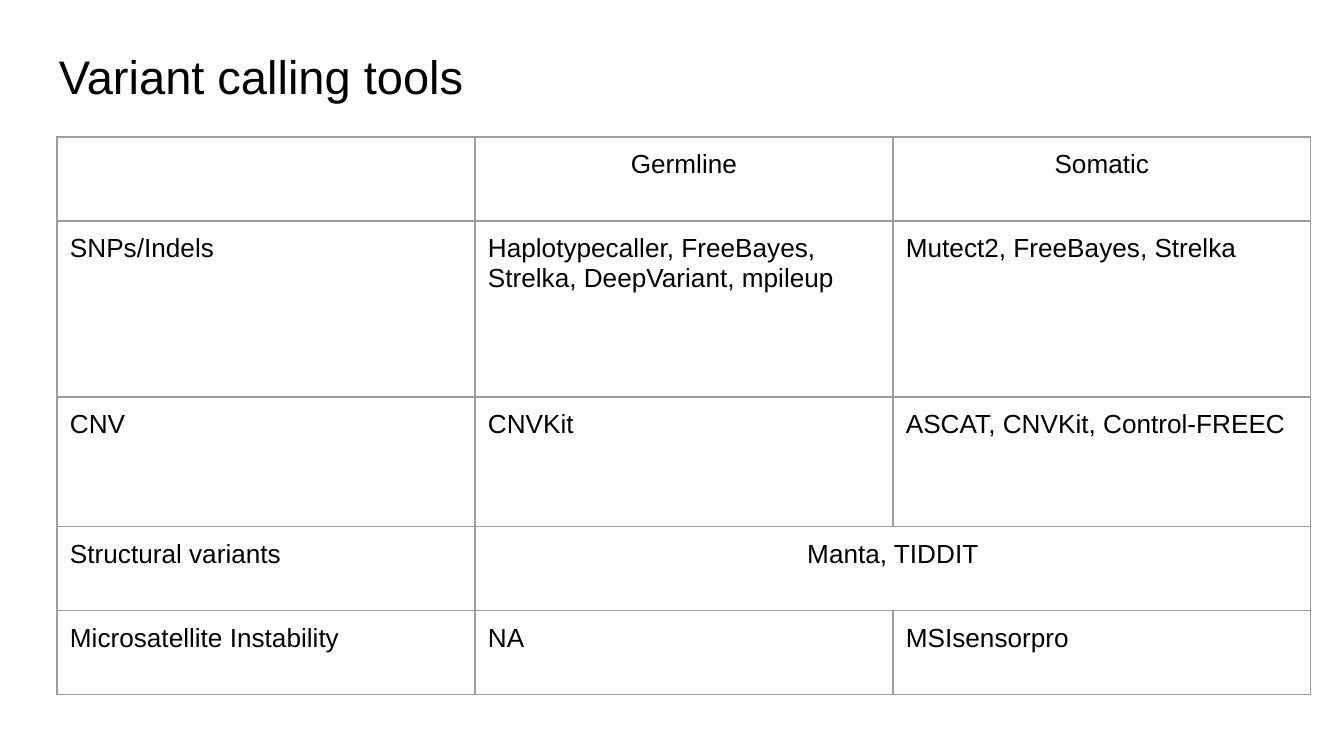
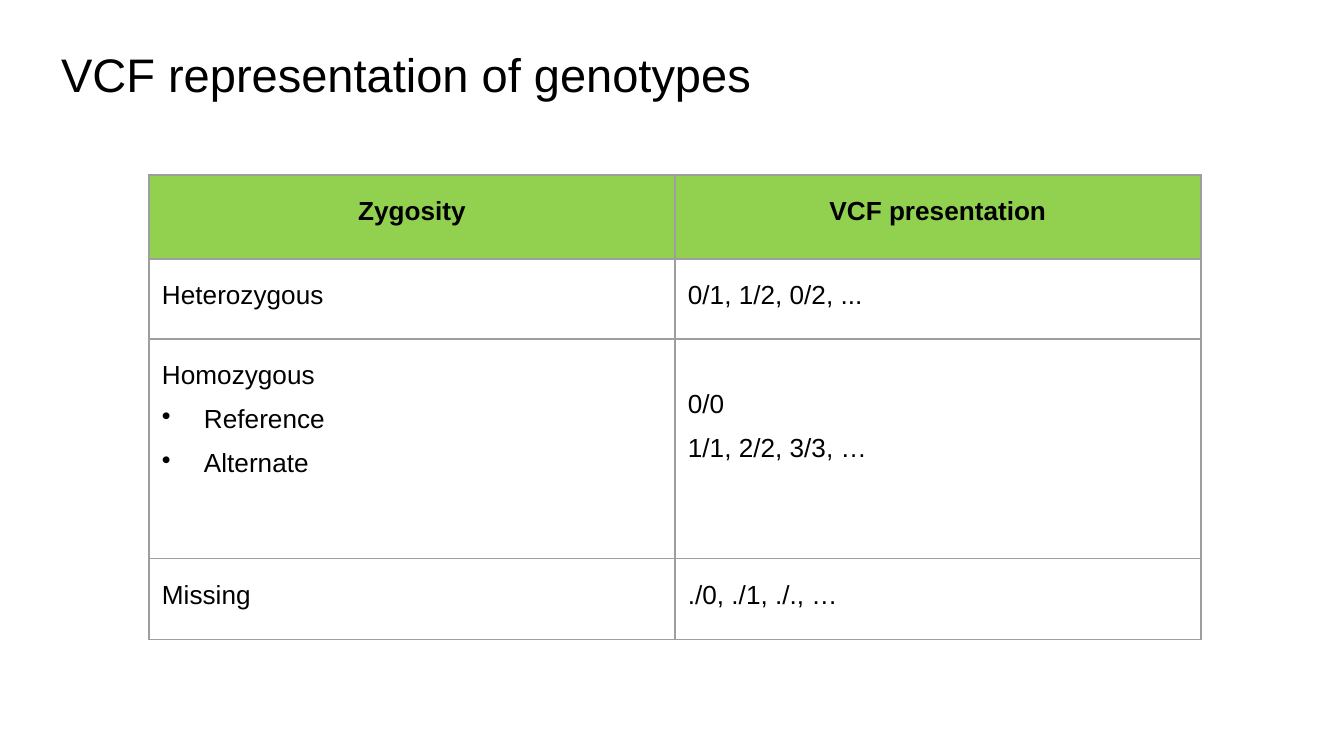
from lxml.etree import SubElement
from pptx import Presentation
from pptx.dml.color import RGBColor
from pptx.enum.text import MSO_ANCHOR, MSO_AUTO_SIZE, PP_ALIGN
from pptx.oxml import parse_xml
from pptx.oxml.ns import nsdecls, qn
from pptx.util import Emu, Pt

PX_PER_INCH = 134.4
COLORS = {"text": "000000", "border": "9E9E9E", "header": "92D050"}
FONT = "Arial"
BULLET = "•"
BULLET_INDENT = 42
BORDER_PT = 0.75
CELL_PAD = 13

VARIANT_TOOLS = [
    ["", "Germline", "Somatic"],
    ["SNPs/Indels", "Haplotypecaller, FreeBayes, Strelka, DeepVariant, mpileup",
     "Mutect2, FreeBayes, Strelka"],
    ["CNV", "CNVKit", "ASCAT, CNVKit, Control-FREEC"],
    ["Structural variants", "Manta, TIDDIT", None],
    ["Microsatellite Instability", "NA", "MSIsensorpro"],
]
GENOTYPES = [
    ["Zygosity", "VCF presentation"],
    ["Heterozygous", "0/1, 1/2, 0/2, ..."],
    ["Homozygous\n•Reference\n•Alternate", "0/0\n1/1, 2/2, 3/3, …"],
    ["Missing", "./0, ./1, ./., …"],
]


def px(length):
    return Emu(round(length * 914400 / PX_PER_INCH))


def rgb(name):
    return RGBColor.from_string(COLORS[name])


def add_bullet(para):
    props = para._p.get_or_add_pPr()
    props.set("marL", str(px(BULLET_INDENT)))
    props.set("indent", str(-px(BULLET_INDENT)))
    color = SubElement(props, qn("a:buClr"))
    SubElement(color, qn("a:srgbClr"), val=COLORS["text"])
    SubElement(props, qn("a:buChar"), char=BULLET)


def write(frame, text, size=14, bold=False, align=PP_ALIGN.LEFT, spacing=1.0):
    """Fill a frame with one paragraph per line; a leading bullet sign makes a list item."""
    for index, line in enumerate(text.split("\n")):
        para = frame.add_paragraph() if index else frame.paragraphs[0]
        if line.startswith(BULLET):
            add_bullet(para)
        para.alignment = align
        para.line_spacing = spacing
        font = para.font
        font.size = Pt(size)
        if not line:
            continue
        span = para.add_run()
        span.text = line.removeprefix(BULLET)
        span.font.name = FONT
        span.font.size = Pt(size)
        span.font.bold = bold
        span.font.color.rgb = rgb("text")


def set_margins(target, across, down):
    target.margin_left = target.margin_right = px(across)
    target.margin_top = target.margin_bottom = px(down)


def add_borders(cell):
    props = cell._tc.get_or_add_tcPr()
    for index, side in enumerate(("lnL", "lnR", "lnT", "lnB")):
        props.insert(index, parse_xml(
            f'<a:{side} {nsdecls("a")} w="{Pt(BORDER_PT)}"><a:solidFill>'
            f'<a:srgbClr val="{COLORS["border"]}"/></a:solidFill></a:{side}>'))


def add_titled_page(deck, title, left, top, width, height):
    page = deck.slides.add_slide(deck.slide_layouts[5])
    box = page.shapes.title
    box.left, box.top, box.width, box.height = map(px, (left, top, width, height))
    frame = box.text_frame
    frame.word_wrap = True
    frame.auto_size = MSO_AUTO_SIZE.NONE
    frame.vertical_anchor = MSO_ANCHOR.TOP
    set_margins(frame, CELL_PAD, CELL_PAD)
    write(frame, title, size=25.2, spacing=1.12)
    return page


def add_grid(page, rows, left, top, column, heights, pad_down=CELL_PAD,
             spacing=1.0, header_fill=None):
    """Draw a bordered table with equal columns; None joins a cell to the one on its left."""
    count = len(rows[0])
    table = page.shapes.add_table(len(rows), count, px(left), px(top),
                                  px(column * count), px(sum(heights))).table
    table.first_row = table.horz_banding = False
    for table_column in table.columns:
        table_column.width = px(column)
    for r, (values, height) in enumerate(zip(rows, heights)):
        table.rows[r].height = px(height)
        for c, text in enumerate(values):
            cell = table.cell(r, c)
            set_margins(cell, CELL_PAD, pad_down)
            if header_fill and r == 0:
                cell.fill.solid()
                cell.fill.fore_color.rgb = rgb(header_fill)
            else:
                cell.fill.background()
            add_borders(cell)
            if text is None:
                table.cell(r, c - 1).merge(cell)
                continue
            centered = r == 0 or None in values[c + 1:c + 2]
            write(cell.text_frame, text, spacing=spacing,
                  bold=bool(header_fill) and r == 0,
                  align=PP_ALIGN.CENTER if centered else PP_ALIGN.LEFT)
    return table


def add_tools_page(deck):
    page = add_titled_page(deck, "Variant calling tools", 46, 28, 1253, 85)
    add_grid(page, VARIANT_TOOLS, 57, 137, 418, [84, 176, 130, 84, 84])


def add_genotypes_page(deck):
    page = add_titled_page(deck, "VCF representation of genotypes", 48, 26, 1253, 69)
    table = add_grid(page, GENOTYPES, 149, 175, 526, [84, 80, 220, 81],
                     pad_down=7, spacing=1.5, header_fill="header")
    table.cell(2, 1).margin_top = px(36)


def main():
    deck = Presentation()
    deck.slide_width, deck.slide_height = px(1344), px(756)
    add_tools_page(deck)
    add_genotypes_page(deck)
    deck.save("out.pptx")


if __name__ == "__main__":
    main()
